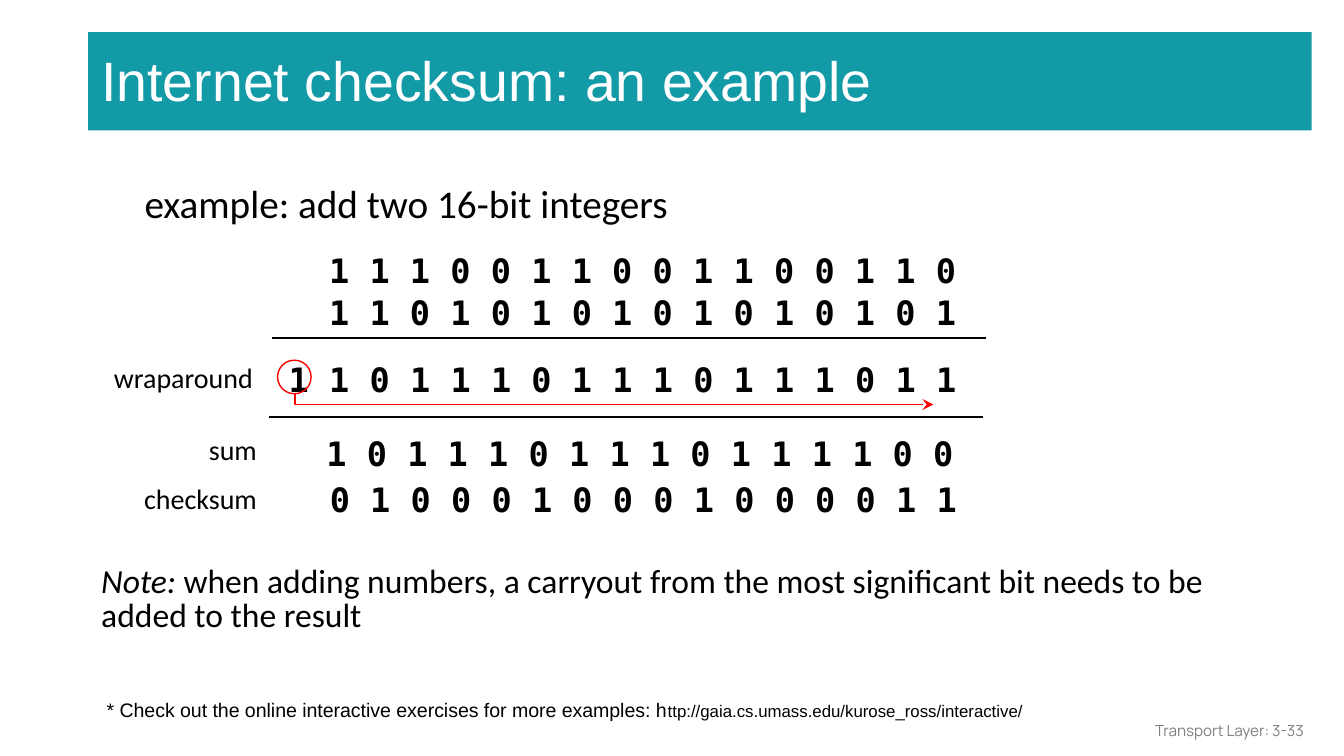
from lxml import etree
from pptx import Presentation
from pptx.dml.color import RGBColor
from pptx.enum.shapes import MSO_CONNECTOR, MSO_SHAPE
from pptx.enum.text import MSO_ANCHOR, PP_ALIGN
from pptx.oxml.ns import qn
from pptx.util import Pt

PX = 4572
TEAL = RGBColor(0x12, 0x9A, 0xA7)
WHITE = RGBColor(0xFF, 0xFF, 0xFF)
BLACK = RGBColor(0x00, 0x00, 0x00)
RED = RGBColor(0xFF, 0x00, 0x00)
GRAY = RGBColor(0x80, 0x80, 0x80)
LEFT, RIGHT = PP_ALIGN.LEFT, PP_ALIGN.RIGHT
TOP, MIDDLE = MSO_ANCHOR.TOP, MSO_ANCHOR.MIDDLE
RECTANGLE, OVAL = MSO_SHAPE.RECTANGLE, MSO_SHAPE.OVAL
STRAIGHT = MSO_CONNECTOR.STRAIGHT

ADDENDS = ("1 1 1 0 0 1 1 0 0 1 1 0 0 1 1 0", "1 1 0 1 0 1 0 1 0 1 0 1 0 1 0 1")
CARRY_SUM = "1 1 0 1 1 1 0 1 1 1 0 1 1 1 0 1 1"
WRAPPED_SUM = "1 0 1 1 1 0 1 1 1 0 1 1 1 1 0 0"
CHECKSUM = "0 1 0 0 0 1 0 0 0 1 0 0 0 0 1 1"


def scaled(*lengths):
    return [length * PX for length in lengths]


def write_text(frame, *runs, size=18, font="Calibri", color=BLACK, bold=False,
               align=LEFT, anchor=TOP, spacing=None, wrap=True, inset=(20, 10)):
    frame.word_wrap = wrap
    frame.vertical_anchor = anchor
    frame.margin_left = frame.margin_right = inset[0] * PX
    frame.margin_top = frame.margin_bottom = inset[1] * PX
    paragraph = frame.paragraphs[0]
    paragraph.alignment = align
    if spacing:
        paragraph.line_spacing = spacing
    for words, changes in runs:
        run = paragraph.add_run()
        run.text = words
        run.font.name = font
        run.font.size = Pt(changes.get("size", size))
        run.font.bold = bold
        run.font.italic = changes.get("italic", False)
        run.font.color.rgb = color


def add_text(slide, box, *runs, **text_format):
    shape = slide.shapes.add_textbox(*scaled(*box))
    write_text(shape.text_frame, *runs, **text_format)


def add_rule(slide, left, top, width):
    rule = slide.shapes.add_connector(STRAIGHT, *scaled(left, top, left + width, top))
    rule.line.color.rgb = BLACK
    rule.line.width = Pt(1)
    etree.SubElement(rule._element.spPr, qn("a:effectLst"))


def outline_in_red(shape):
    shape.shadow.inherit = False
    shape.fill.background()
    shape.line.color.rgb = RED
    shape.line.width = Pt(0.75)


def add_title(slide, box):
    banner = slide.shapes.add_shape(RECTANGLE, *scaled(*box))
    banner.shadow.inherit = False
    banner.fill.solid()
    banner.fill.fore_color.rgb = TEAL
    banner.line.fill.background()
    write_text(banner.text_frame, ("Internet checksum: an example", {}),
               size=29.7, font="Arial", color=WHITE, inset=(20, 20))


def add_bits(slide, right, top, bits):
    width = 60 * len(bits.split()) + 16
    add_text(slide, (right - width, top, width, 80), (bits, {}),
             font="DejaVu Sans Mono", bold=True, wrap=False)


def add_label(slide, right, top, label):
    add_text(slide, (right - 248, top, 248, 70), (label, {}), size=15, align=RIGHT)


def add_carry(slide, left, top):
    circle = slide.shapes.add_shape(OVAL, *scaled(left, top, 50, 50))
    outline_in_red(circle)
    start = left + 26
    builder = slide.shapes.build_freeform(start, top + 50, scale=PX)
    builder.add_line_segments([(start, top + 66), (start + 950, top + 66)], close=False)
    arrow = builder.convert_to_shape()
    outline_in_red(arrow)
    etree.SubElement(arrow.line._get_or_add_ln(), qn("a:tailEnd"), type="stealth")


def add_addition(slide, left, top):
    right = left + 1296
    for row, bits in enumerate(ADDENDS):
        add_bits(slide, right, top + 62 * row, bits)
    add_rule(slide, left + 255, top + 141, 1063)
    add_label(slide, left + 246, top + 164, "wraparound")
    add_bits(slide, right, top + 162, CARRY_SUM)
    add_carry(slide, left + 263, top + 174)
    add_rule(slide, left + 250, top + 259, 1063)
    add_label(slide, left + 252, top + 272, "sum")
    add_bits(slide, right - 4, top + 272, WRAPPED_SUM)
    add_label(slide, left + 252, top + 344, "checksum")
    add_bits(slide, right + 1, top + 341, CHECKSUM)


def add_notes(slide, left, top):
    add_text(slide, (left, top, 1700, 184), ("Note:", {"italic": True}),
             (" when adding numbers, a carryout from the most significant bit "
              "needs to be added to the result", {}), spacing=0.85)
    add_text(slide, (left + 8, top + 196, 1616, 56),
             ("* Check out the online interactive exercises for more examples: h", {}),
             ("ttp://gaia.cs.umass.edu/kurose_ross/interactive/", {"size": 9}),
             size=10.5, font="Arial")
    add_text(slide, (left + 1379, top + 225, 450, 60), ("Transport Layer: 3-33", {}),
             size=8.2, font="Manrope", color=GRAY, align=RIGHT, anchor=MIDDLE)


def main():
    presentation = Presentation()
    presentation.slide_width, presentation.slide_height = scaled(2000, 1125)
    slide = presentation.slides.add_slide(presentation.slide_layouts[6])
    add_title(slide, (131, 48, 1821, 146))
    add_text(slide, (200, 238, 1276, 450), ("example: add two 16-bit integers", {}),
             size=21, spacing=1.3, inset=(15, 8))
    add_addition(slide, 150, 362)
    add_notes(slide, 131, 832)
    presentation.save("out.pptx")


if __name__ == "__main__":
    main()
